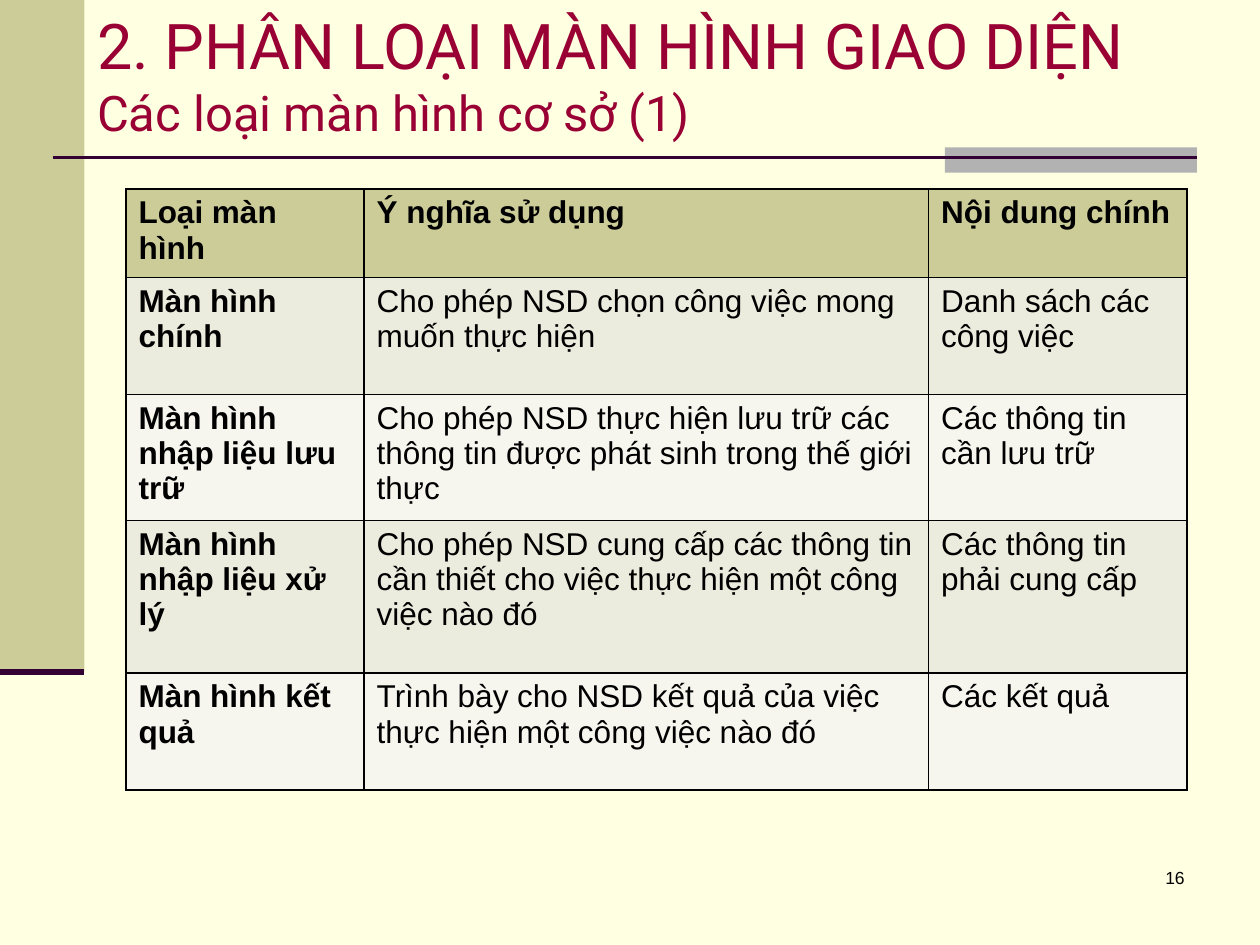
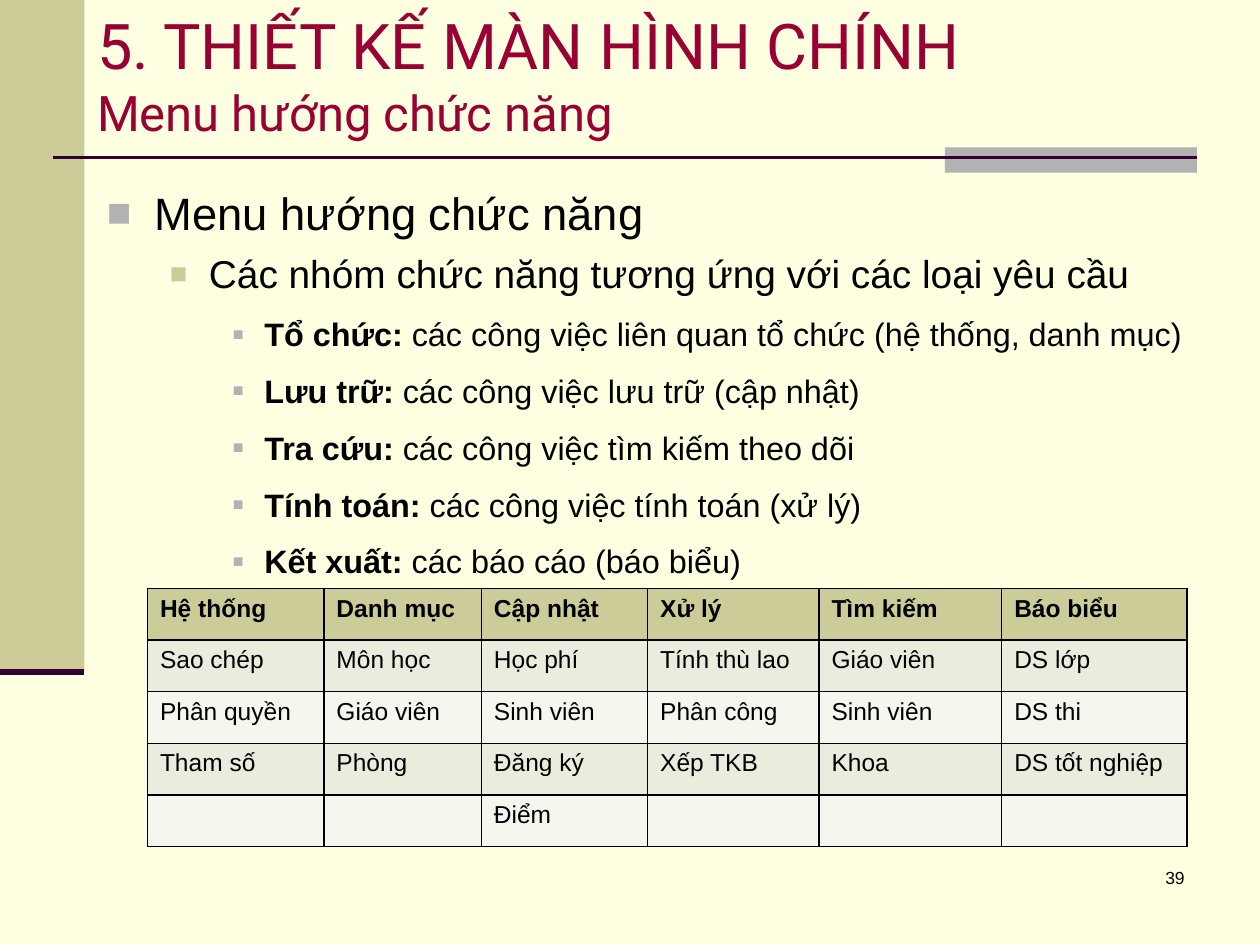
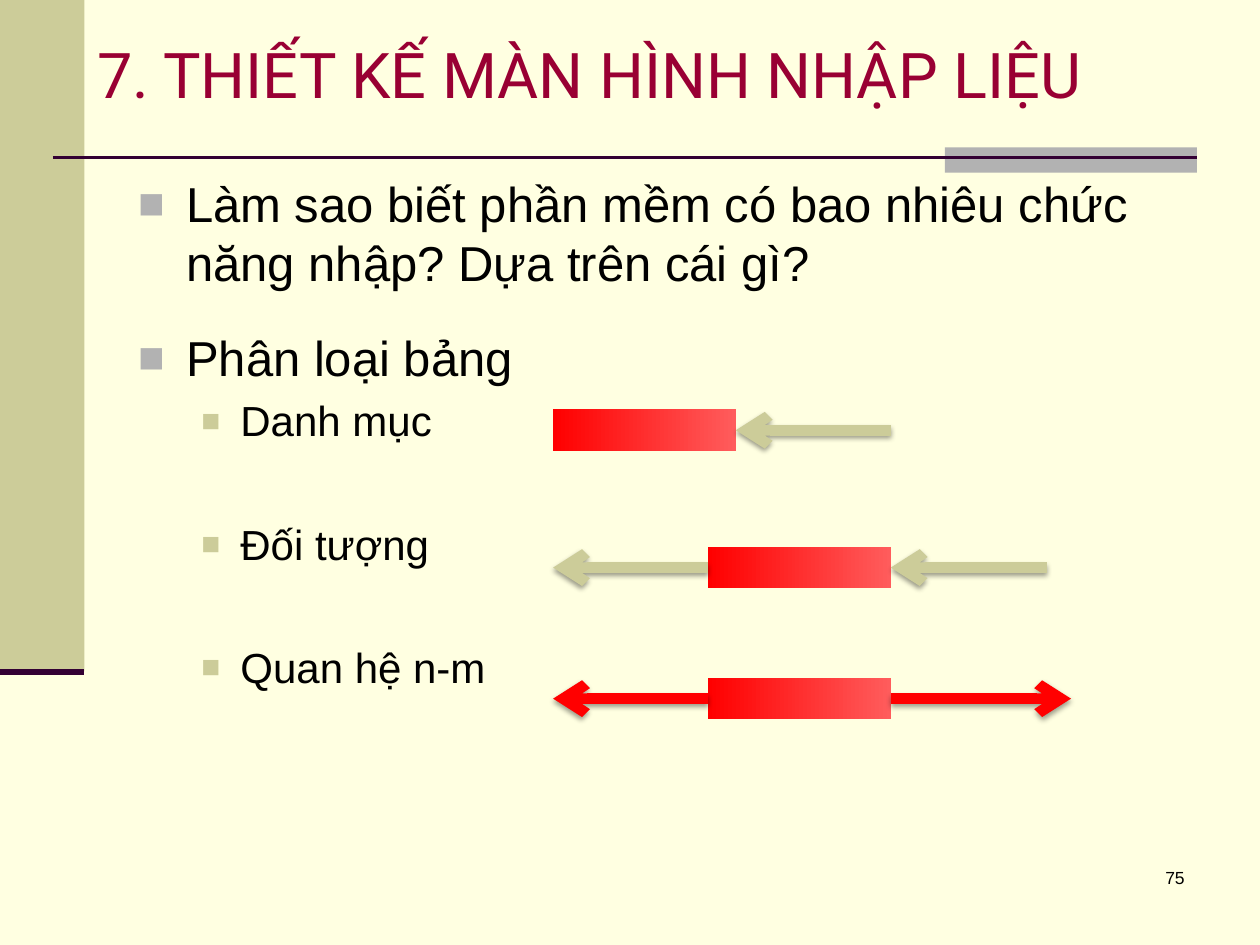
from dataclasses import dataclass

from lxml import etree
from pptx import Presentation
from pptx.dml.color import RGBColor
from pptx.enum.shapes import MSO_CONNECTOR, MSO_SHAPE
from pptx.enum.text import MSO_ANCHOR, MSO_AUTO_SIZE, PP_ALIGN
from pptx.oxml import parse_xml
from pptx.oxml.ns import nsdecls, qn
from pptx.util import Inches, Pt

RECTANGLE = MSO_SHAPE.RECTANGLE
STRAIGHT = MSO_CONNECTOR.STRAIGHT
LEFT, RIGHT = PP_ALIGN.LEFT, PP_ALIGN.RIGHT
MIDDLE, NO_FIT = MSO_ANCHOR.MIDDLE, MSO_AUTO_SIZE.NONE
LEFT_SIDE, RIGHT_SIDE = 1, 3


@dataclass(frozen=True)
class Theme:
    background: str = "FFFFE1"
    khaki: str = "CCCC99"
    gray: str = "B2B2B2"
    plum: str = "330033"
    crimson: str = "990033"
    black: str = "000000"
    red: str = "FF0000"
    light_red: str = "FF5C5C"
    bands: tuple = ("ECECDE", "F6F6EF")
    title_font: str = "Roboto"
    body_font: str = "Arial"
    title_size: float = 36
    subtitle_size: float = 28
    number_size: float = 10


THEME = Theme()

# Bullet levels: left margin, hanging indent (inches), colour, size in percent
BULLETS = [
    (0.38, 0.38, THEME.gray, 90),
    (0.81, 0.31, THEME.khaki, 75),
    (1.25, 0.25, THEME.gray, 55),
]

# Content: screen types
SCREEN_TYPES = [
    ("Loại màn hình", "Ý nghĩa sử dụng", "Nội dung chính"),
    ("Màn hình chính", "Cho phép NSD chọn công việc mong muốn thực hiện",
     "Danh sách các công việc"),
    ("Màn hình nhập liệu lưu trữ",
     "Cho phép NSD thực hiện lưu trữ các thông tin được phát sinh trong thế giới thực",
     "Các thông tin cần lưu trữ"),
    ("Màn hình nhập liệu xử lý",
     "Cho phép NSD cung cấp các thông tin cần thiết cho việc thực hiện một công việc nào đó",
     "Các thông tin phải cung cấp"),
    ("Màn hình kết quả",
     "Trình bày cho NSD kết quả của việc thực hiện một công việc nào đó", "Các kết quả"),
]

# Content: function menu
MENU_GROUPS = [
    ("Tổ chức: ", "các công việc liên quan tổ chức (hệ thống, danh mục)"),
    ("Lưu trữ: ", "các công việc lưu trữ (cập nhật)"),
    ("Tra cứu: ", "các công việc tìm kiếm theo dõi"),
    ("Tính toán: ", "các công việc tính toán (xử lý)"),
    ("Kết xuất: ", "các báo cáo (báo biểu)"),
]
MENU_TABLE = [
    ("Hệ thống", "Danh mục", "Cập nhật", "Xử lý", "Tìm kiếm", "Báo biểu"),
    ("Sao chép", "Môn học", "Học phí", "Tính thù lao", "Giáo viên", "DS lớp"),
    ("Phân quyền", "Giáo viên", "Sinh viên", "Phân công", "Sinh viên", "DS thi"),
    ("Tham số", "Phòng", "Đăng ký", "Xếp TKB", "Khoa", "DS tốt nghiệp"),
    ("", "", "Điểm", "", "", ""),
]

# Bullets: level, bold lead, text, size, space before, space after (points)
MENU_BULLETS = [
    (0, "", "Menu hướng chức năng", 25.9, 0, 6),
    (1, "", "Các nhóm chức năng tương ứng với các loại yêu cầu", 22.2, 0, 6),
] + [(2, lead, text, 18.5, 4.2, 6) for lead, text in MENU_GROUPS]
INPUT_BULLETS = [
    (0, "", "Làm sao biết phần mềm có bao nhiêu chức năng nhập? Dựa trên cái gì?", 28, 0, 4.8),
    (0, "", "Phân loại bảng", 28, 16, 4.8),
] + [(1, "", text, 24, 0, 41.5) for text in ("Danh mục", "Đối tượng", "Quan hệ n-m")]

# Table kinds: box left and top, then arrows as (side, far end x, points at box, colour)
TABLE_KINDS = [
    (4.39, 3.25, [(RIGHT_SIDE, 7.07, True, THEME.khaki)]),
    (5.62, 4.34, [(RIGHT_SIDE, 8.31, True, THEME.khaki),
                  (LEFT_SIDE, 4.39, False, THEME.khaki)]),
    (5.62, 5.38, [(LEFT_SIDE, 4.39, False, THEME.red),
                  (RIGHT_SIDE, 8.5, False, THEME.red)]),
]
BOX_WIDTH, BOX_HEIGHT = 1.45, 0.33


def rgb(color):
    return RGBColor.from_string(color)


def add_text(paragraph, text, *, size, font=THEME.body_font, color=THEME.black, bold=False):
    run = paragraph.add_run()
    run.text = text
    run.font.size = Pt(size)
    run.font.name = font
    run.font.bold = bold
    run.font.color.rgb = rgb(color)


def add_text_frame(slide, left, top, width, height):
    box = slide.shapes.add_textbox(Inches(left), Inches(top), Inches(width), Inches(height))
    box.text_frame.word_wrap = True
    return box.text_frame


def add_box(slide, left, top, width, height):
    box = slide.shapes.add_shape(
        RECTANGLE, Inches(left), Inches(top), Inches(width), Inches(height))
    box.shadow.inherit = False
    box.line.fill.background()
    return box


def add_line(slide, start, end, color, width):
    line = slide.shapes.add_connector(STRAIGHT, *(Inches(value) for value in start + end))
    line.line.color.rgb = rgb(color)
    line.line.width = Pt(width)
    etree.SubElement(line.element.spPr, qn("a:effectLst"))
    return line


# Shared background, bands and rules live on the layout
def decorate_layout(layout, slide):
    layout.background.fill.solid()
    layout.background.fill.fore_color.rgb = rgb(THEME.background)
    decorations = []
    for position, color in (((0, 0, 0.67, 5.33), THEME.khaki),
                            ((7.5, 1.17, 2, 0.2), THEME.gray)):
        band = add_box(slide, *position)
        band.fill.solid()
        band.fill.fore_color.rgb = rgb(color)
        decorations.append(band)
    decorations.append(add_line(slide, (0.42, 1.25), (9.5, 1.25), THEME.plum, 1.5))
    decorations.append(add_line(slide, (0, 5.33), (0.67, 5.33), THEME.plum, 3.5))
    for index, shape in enumerate(decorations, start=2):
        layout.shapes.element.insert(index, shape.element)


def add_slide(presentation, title, subtitle, number):
    layout = presentation.slide_layouts[5]
    slide = presentation.slides.add_slide(layout)
    if len(presentation.slides) == 1:
        decorate_layout(layout, slide)

    shape = slide.shapes.title
    shape.left, shape.top = Inches(0.67), Inches(0)
    shape.width, shape.height = Inches(8.83), Inches(1.17)
    frame = shape.text_frame
    frame.auto_size = NO_FIT
    frame.vertical_anchor = MIDDLE
    paragraph = frame.paragraphs[0]
    paragraph.alignment = LEFT
    style = {"font": THEME.title_font, "color": THEME.crimson}
    add_text(paragraph, title, size=THEME.title_size, **style)
    if subtitle:
        paragraph.add_line_break()
        add_text(paragraph, subtitle, size=THEME.subtitle_size, **style)

    paragraph = add_text_frame(slide, 7.42, 6.83, 2.08, 0.5).paragraphs[0]
    paragraph.alignment = RIGHT
    add_text(paragraph, str(number), size=THEME.number_size)
    return slide


def add_bullets(slide, position, bullets):
    frame = add_text_frame(slide, *position)
    for index, (level, lead, text, size, before, after) in enumerate(bullets):
        paragraph = frame.add_paragraph() if index else frame.paragraphs[0]
        paragraph.level = level
        paragraph.space_before, paragraph.space_after = Pt(before), Pt(after)
        margin, hanging, color, percent = BULLETS[level]
        properties = paragraph._p.get_or_add_pPr()
        properties.set("marL", str(Inches(margin)))
        properties.set("indent", str(-Inches(hanging)))
        bullet_color = etree.SubElement(properties, qn("a:buClr"))
        etree.SubElement(bullet_color, qn("a:srgbClr"), val=color)
        etree.SubElement(properties, qn("a:buSzPct"), val=str(percent * 1000))
        etree.SubElement(properties, qn("a:buFont"), typeface=THEME.body_font)
        etree.SubElement(properties, qn("a:buChar"), char="■")
        if lead:
            add_text(paragraph, lead, size=size, bold=True)
        add_text(paragraph, text, size=size)


def set_borders(cell):
    properties = cell._tc.get_or_add_tcPr()
    for index, side in enumerate(("lnL", "lnR", "lnT", "lnB")):
        properties.insert(index, parse_xml(
            f'<a:{side} {nsdecls("a")} w="12700"><a:solidFill>'
            f'<a:srgbClr val="{THEME.black}"/></a:solidFill></a:{side}>'))


def add_grid(slide, left, top, rows, widths, heights, size, bold_first_column=False):
    table = slide.shapes.add_table(
        len(rows), len(widths), Inches(left), Inches(top),
        Inches(sum(widths)), Inches(sum(heights))).table
    table.first_row = table.horz_banding = False
    for column, width in zip(table.columns, widths):
        column.width = Inches(width)
    for row, height in zip(table.rows, heights):
        row.height = Inches(height)
    for row_index, row in enumerate(rows):
        fill = THEME.bands[(row_index - 1) % 2] if row_index else THEME.khaki
        for column_index, text in enumerate(row):
            cell = table.cell(row_index, column_index)
            cell.fill.solid()
            cell.fill.fore_color.rgb = rgb(fill)
            set_borders(cell)
            if text:
                bold = row_index == 0 or (bold_first_column and column_index == 0)
                add_text(cell.text_frame.paragraphs[0], text, size=size, bold=bold)


def add_arrow(slide, box, side, far_x, points_at_box, color):
    near_x = (box.left + (box.width if side == RIGHT_SIDE else 0)) / Inches(1)
    middle = (box.top + box.height / 2) / Inches(1)
    near, far = (near_x, middle), (far_x, middle)
    start, end = (far, near) if points_at_box else (near, far)
    arrow = add_line(slide, start, end, color, 6)
    join = arrow.end_connect if points_at_box else arrow.begin_connect
    join(box, side)
    etree.SubElement(arrow.line._get_or_add_ln(), qn("a:tailEnd"), type="arrow")
    effects = arrow.element.spPr.find(qn("a:effectLst"))
    effects.append(parse_xml(
        f'<a:outerShdw {nsdecls("a")} blurRad="{Pt(3.1)}" dist="{Pt(1.6)}" dir="5400000" '
        f'rotWithShape="0"><a:srgbClr val="{THEME.black}"><a:alpha val="38000"/>'
        '</a:srgbClr></a:outerShdw>'))


def add_table_kind(slide, left, top, arrows):
    box = add_box(slide, left, top, BOX_WIDTH, BOX_HEIGHT)
    box.fill.gradient()
    box.fill.gradient_angle = 0
    for stop, color in zip(box.fill.gradient_stops, (THEME.red, THEME.light_red)):
        stop.color.rgb = rgb(color)
    for arrow in arrows:
        add_arrow(slide, box, *arrow)


def main():
    presentation = Presentation()
    presentation.slide_width, presentation.slide_height = Inches(10), Inches(7.5)

    # Screen types
    slide = add_slide(presentation, "2. PHÂN LOẠI MÀN HÌNH GIAO DIỆN",
                      "Các loại màn hình cơ sở (1)", 16)
    add_grid(slide, 1, 1.5, SCREEN_TYPES, (1.89, 4.48, 2.05),
             (0.65, 0.93, 0.93, 1.21, 0.93), 18, bold_first_column=True)

    # Function menu
    slide = add_slide(presentation, "5. THIẾT KẾ MÀN HÌNH CHÍNH", "Menu hướng chức năng", 39)
    add_bullets(slide, (0.75, 1.42, 8.75, 3.25), MENU_BULLETS)
    add_grid(slide, 1.17, 4.67, MENU_TABLE, (1.4, 1.25, 1.32, 1.36, 1.45, 1.47),
             [0.41] * len(MENU_TABLE), 14)

    # Input screens
    slide = add_slide(presentation, "7. THIẾT KẾ MÀN HÌNH NHẬP LIỆU", "", 75)
    add_bullets(slide, (1, 1.33, 8.5, 5.2), INPUT_BULLETS)
    for kind in TABLE_KINDS:
        add_table_kind(slide, *kind)

    presentation.save("out.pptx")


if __name__ == "__main__":
    main()
